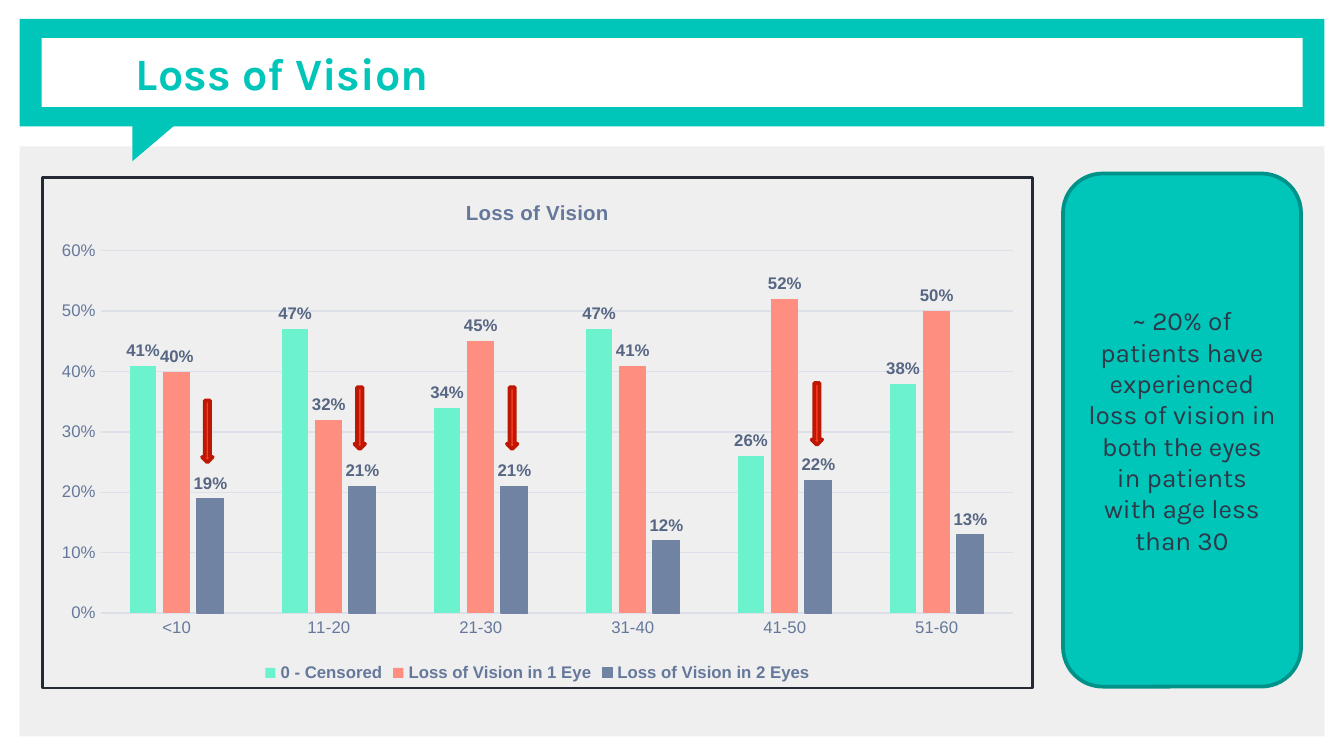
from lxml import etree
from pptx import Presentation
from pptx.chart.data import CategoryChartData
from pptx.dml.color import RGBColor
from pptx.enum.chart import XL_CHART_TYPE, XL_LABEL_POSITION, XL_LEGEND_POSITION, XL_TICK_MARK
from pptx.enum.shapes import MSO_SHAPE
from pptx.enum.text import MSO_ANCHOR, PP_ALIGN
from pptx.util import Cm, Pt

CLUSTERED = XL_CHART_TYPE.COLUMN_CLUSTERED
OUTSIDE_END = XL_LABEL_POSITION.OUTSIDE_END
LEGEND_BOTTOM = XL_LEGEND_POSITION.BOTTOM
NO_TICK = XL_TICK_MARK.NONE
RECTANGLE = MSO_SHAPE.RECTANGLE
ROUNDED = MSO_SHAPE.ROUNDED_RECTANGLE
TRIANGLE = MSO_SHAPE.RIGHT_TRIANGLE
DOWN_ARROW = MSO_SHAPE.DOWN_ARROW
MIDDLE = MSO_ANCHOR.MIDDLE
CENTER = PP_ALIGN.CENTER

WHITE = RGBColor(0xFF, 0xFF, 0xFF)
TEAL = RGBColor(0x00, 0xC5, 0xB9)
DARK_TEAL = RGBColor(0x00, 0x92, 0x89)
PALE_GREY = RGBColor(0xEF, 0xEF, 0xEF)
INK = RGBColor(0x2F, 0x38, 0x48)
FRAME = RGBColor(0x23, 0x2A, 0x36)
AXIS_TEXT = RGBColor(0x65, 0x78, 0x9B)
LABEL_TEXT = RGBColor(0x56, 0x66, 0x83)
GRID = RGBColor(0xDC, 0xE0, 0xE8)
MINT = RGBColor(0x6C, 0xF3, 0xCE)
CORAL = RGBColor(0xFD, 0x8E, 0x80)
SLATE = RGBColor(0x71, 0x83, 0xA2)
RED = RGBColor(0xFC, 0x3B, 0x22)
DARK_RED = RGBColor(0xBC, 0x18, 0x03)

AGE_GROUPS = ["<10", "11-20", "21-30", "31-40", "41-50", "51-60"]
VISION_SERIES = [
    ("0 - Censored", MINT, [0.41, 0.47, 0.34, 0.47, 0.26, 0.38]),
    ("Loss of Vision in 1 Eye", CORAL, [0.40, 0.32, 0.45, 0.41, 0.52, 0.50]),
    ("Loss of Vision in 2 Eyes", SLATE, [0.19, 0.21, 0.21, 0.12, 0.22, 0.13]),
]
ARROW_TOPS = {0: 4.24, 1: 3.99, 2: 3.99, 4: 3.91}
AGE_GROUP_PITCH = 2.88
CHART_NS = "http://schemas.openxmlformats.org/drawingml/2006/chart"
DRAWING_NS = "http://schemas.openxmlformats.org/drawingml/2006/main"


def style_font(font, name, size, color, bold=False):
    font.name = name
    font.size = Pt(size)
    font.color.rgb = color
    font.bold = bold


def add_block(slide, kind, box, fill, outline=None):
    block = slide.shapes.add_shape(kind, *map(Cm, box))
    block.shadow.inherit = False
    block.fill.solid()
    block.fill.fore_color.rgb = fill
    if outline is None:
        block.line.fill.background()
    else:
        block.line.color.rgb = outline
        block.line.width = Pt(2)
    return block


def add_banner(slide, box, heading):
    left, top, width, height = box
    add_block(slide, RECTANGLE, box, TEAL)
    tail = add_block(slide, TRIANGLE, (left + 2.21, top + 1.7, 0.91, 1.07), TEAL)
    tail.rotation = 90
    add_block(slide, RECTANGLE, (left + 0.42, top + 0.36, width - 0.83, 1.3), WHITE)

    title = slide.shapes.add_textbox(Cm(left + 1.95), Cm(top), Cm(22.1), Cm(height))
    frame = title.text_frame
    frame.word_wrap = True
    frame.vertical_anchor = MIDDLE
    frame.text = heading
    style_font(frame.paragraphs[0].font, "Karla", 24, TEAL, True)


def add_chart_frame(chart):
    properties = etree.fromstring(
        f'<c:spPr xmlns:c="{CHART_NS}" xmlns:a="{DRAWING_NS}"><a:noFill/>'
        f'<a:ln w="{Pt(1.5)}"><a:solidFill><a:srgbClr val="{FRAME}"/></a:solidFill></a:ln>'
        "</c:spPr>"
    )
    chart.element.find(f"{{{CHART_NS}}}chart").addnext(properties)


def style_axes(chart):
    ages, shares = chart.category_axis, chart.value_axis
    for axis in (ages, shares):
        axis.major_tick_mark = NO_TICK
        axis.minor_tick_mark = NO_TICK
        style_font(axis.tick_labels.font, "Arial", 9, AXIS_TEXT)
    shares.minimum_scale = 0
    shares.maximum_scale = 0.6
    shares.major_unit = 0.1
    shares.tick_labels.number_format = "0%"
    shares.tick_labels.number_format_is_linked = False
    shares.format.line.fill.background()
    for line in (ages.format.line, shares.major_gridlines.format.line):
        line.color.rgb = GRID
        line.width = Pt(0.75)


def style_columns(plot):
    plot.gap_width = 219
    plot.overlap = -27
    plot.vary_by_categories = False
    for columns, (_, color, _) in zip(plot.series, VISION_SERIES):
        columns.format.fill.solid()
        columns.format.fill.fore_color.rgb = color
        labels = columns.data_labels
        labels.show_value = True
        labels.position = OUTSIDE_END
        labels.number_format = "0%"
        labels.number_format_is_linked = False
        style_font(labels.font, "Arial", 9, LABEL_TEXT, True)
    columns.format.line.color.rgb = SLATE
    columns.format.line.width = Pt(0.75)


def add_vision_chart(slide, box):
    data = CategoryChartData(number_format="0%")
    data.categories = AGE_GROUPS
    for name, _, shares in VISION_SERIES:
        data.add_series(name, shares)
    chart = slide.shapes.add_chart(CLUSTERED, *map(Cm, box), data).chart
    style_font(chart.font, "Arial", 10, INK)
    add_chart_frame(chart)

    chart.has_title = True
    heading = chart.chart_title.text_frame
    heading.text = "Loss of Vision"
    style_font(heading.paragraphs[0].font, "Arial", 11, AXIS_TEXT, True)
    chart.chart_title.include_in_layout = False

    chart.has_legend = True
    chart.legend.position = LEGEND_BOTTOM
    chart.legend.include_in_layout = False
    style_font(chart.legend.font, "Arial", 9, AXIS_TEXT, True)

    style_axes(chart)
    style_columns(chart.plots[0])


def add_arrows(slide, box):
    left, top, _, _ = box
    for group, drop in ARROW_TOPS.items():
        arrow_left = left + 3.05 + group * AGE_GROUP_PITCH
        add_block(slide, DOWN_ARROW, (arrow_left, top + drop, 0.2, 1.17), RED, DARK_RED)


def add_takeaway(slide, box, message):
    card = add_block(slide, ROUNDED, box, TEAL, DARK_TEAL)
    frame = card.text_frame
    frame.word_wrap = True
    frame.vertical_anchor = MIDDLE
    frame.text = message
    paragraph = frame.paragraphs[0]
    paragraph.alignment = CENTER
    style_font(paragraph.font, "Karla", 14, INK)


def main():
    deck = Presentation()
    deck.slide_width = Cm(25.4)
    deck.slide_height = Cm(14.29)
    slide = deck.slides.add_slide(deck.slide_layouts[6])
    chart_box = (0.77, 3.33, 18.77, 9.7)

    add_block(slide, RECTANGLE, (0.37, 2.77, 24.66, 11.15), PALE_GREY)
    add_banner(slide, (0.37, 0.36, 24.66, 2.03), "Loss of Vision")
    add_vision_chart(slide, chart_box)
    add_takeaway(
        slide,
        (20.09, 3.28, 4.5, 9.7),
        "~ 20% of patients have experienced loss of vision in both the eyes "
        "in patients with age less than 30",
    )
    add_arrows(slide, chart_box)
    deck.save("out.pptx")


if __name__ == "__main__":
    main()
